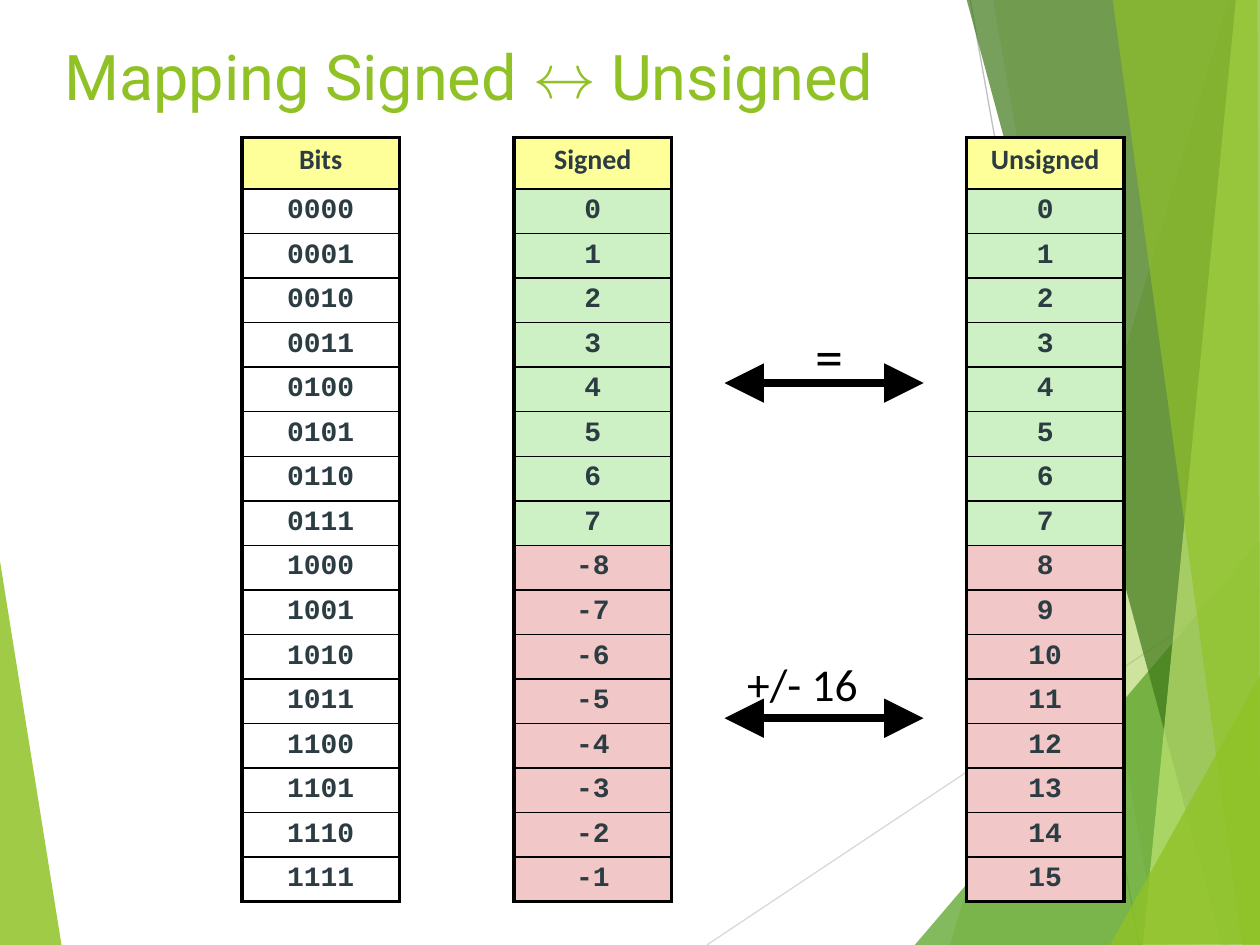
from typing import NamedTuple, Optional

from lxml import etree
from pptx import Presentation
from pptx.dml.color import RGBColor
from pptx.enum import shapes, text
from pptx.oxml import ns
from pptx.util import Inches, Pt

LIME = RGBColor(0x90, 0xC2, 0x26)
GREEN = RGBColor(0x54, 0xA0, 0x21)
FOREST = RGBColor(0x3F, 0x78, 0x19)
PALE_LIME = RGBColor(0xC0, 0xE4, 0x74)
LIGHT_GRAY = RGBColor(0xD9, 0xD9, 0xD9)
GRAY = RGBColor(0xBF, 0xBF, 0xBF)
BLACK = RGBColor(0, 0, 0)
SLATE = RGBColor(0x2C, 0x3C, 0x43)
YELLOW = RGBColor(0xFF, 0xFF, 0x99)
MINT = RGBColor(0xCD, 0xF1, 0xC5)
PINK = RGBColor(0xF1, 0xC7, 0xC7)

TABLE_TOP, TABLE_WIDTH, TABLE_HEIGHT, HEADER_HEIGHT = 1.09, 1.25, 6.07, 0.41
THICK, THIN = 2.25, 1


class Facet(NamedTuple):
    points: list
    color: RGBColor
    opacity: int


class Ray(NamedTuple):
    start: tuple
    end: tuple
    color: RGBColor
    width: float = 0.75


class NumberColumn(NamedTuple):
    left: float
    heading: str
    values: list
    low_fill: Optional[RGBColor] = None
    high_fill: Optional[RGBColor] = None


class Label(NamedTuple):
    wording: str
    box: tuple
    size: float
    font: str = "Calibri"
    color: RGBColor = BLACK
    align: text.PP_ALIGN = text.PP_ALIGN.CENTER
    anchor: text.MSO_ANCHOR = text.MSO_ANCHOR.TOP
    insets: tuple = (0.05, 0.05)
    wrap: bool = False


LEFT_FACET = Facet([(-0.01, 4.39), (0.49, 7.51), (-0.01, 7.5)], LIME, 85)
RAYS = [
    Ray((5.61, 7.5), (10.01, 4.57), LIGHT_GRAY),
    Ray((7.7, 0), (9.04, 7.5), GRAY),
]
RIGHT_FACETS = [
    Facet([(9.75, 0), (7.54, 7.5), (10.02, 7.51), (10.01, 0.01)], LIME, 30),
    Facet([(7.88, -0.01), (9.19, 7.5), (10.01, 7.5), (10.01, -0.01)], LIME, 20),
    Facet([(7.26, 7.5), (10, 4.29), (10.01, 7.5)], GREEN, 72),
    Facet([(7.67, -0.01), (9.7, 7.5), (10.01, 7.49), (10.01, -0.01)], FOREST, 70),
    Facet([(9.81, -0.01), (9.07, 7.5), (10.01, 7.5), (10, -0.01)], PALE_LIME, 70),
    Facet([(8.83, -0.01), (9.86, 7.5), (10, 7.5), (9.98, -0.01)], LIME, 65),
    Facet([(8.81, 7.5), (10.01, 5.35), (10.01, 7.49)], LIME, 80),
]
TITLE = Label("Mapping Signed ↔ Unsigned", (0.44, 0.27, 7.46, 0.61), 36, "Roboto",
              LIME, text.PP_ALIGN.LEFT, insets=(0.07, 0.03), wrap=True)
COLUMNS = [
    NumberColumn(4.08, "Signed", [*range(8), *range(-8, 0)], MINT, PINK),
    NumberColumn(7.67, "Unsigned", list(range(16)), MINT, PINK),
    NumberColumn(1.92, "Bits", [f"{n:04b}" for n in range(16)]),
]
MAPPINGS = [
    (3.04, Label("=", (6.42, 2.5, 0.32, 0.64), 32)),
    (5.7, Label("+/- 16", (5.77, 5.17, 1.2, 0.51), 26,
                anchor=text.MSO_ANCHOR.MIDDLE)),
]


def draw_facet(slide, facet: Facet) -> None:
    corners = [(Inches(x), Inches(y)) for x, y in facet.points]
    builder = slide.shapes.build_freeform(*corners[0])
    builder.add_line_segments(corners[1:], close=True)
    shape = builder.convert_to_shape()
    shape.shadow.inherit = False
    shape.line.fill.background()
    shape.fill.solid()
    shape.fill.fore_color.rgb = facet.color
    tint = shape._element.spPr.find(".//" + ns.qn("a:srgbClr"))
    etree.SubElement(tint, ns.qn("a:alpha"), val=str(facet.opacity * 1000))


def draw_line(slide, ray: Ray, arrows: bool = False) -> None:
    line = slide.shapes.add_connector(
        shapes.MSO_CONNECTOR.STRAIGHT,
        *(Inches(v) for v in (*ray.start, *ray.end)))
    line.line.color.rgb = ray.color
    line.line.width = Pt(ray.width)
    if arrows:
        outline = line._element.spPr.find(ns.qn("a:ln"))
        for end in ("a:headEnd", "a:tailEnd"):
            etree.SubElement(outline, ns.qn(end), type="triangle", w="lg", len="lg")
    etree.SubElement(line._element.spPr, ns.qn("a:effectLst"))


def draw_label(slide, label: Label) -> None:
    frame = slide.shapes.add_textbox(*(Inches(v) for v in label.box)).text_frame
    frame.word_wrap = label.wrap
    frame.vertical_anchor = label.anchor
    side, edge = (Inches(v) for v in label.insets)
    frame.margin_left = frame.margin_right = side
    frame.margin_top = frame.margin_bottom = edge
    frame.text = label.wording
    paragraph = frame.paragraphs[0]
    paragraph.alignment = label.align
    font = paragraph.runs[0].font
    font.size, font.name = Pt(label.size), label.font
    font.color.rgb = label.color


def add_borders(cell, top: float, bottom: float) -> None:
    """Add black borders, which must come before the cell's fill."""
    properties = cell._tc.get_or_add_tcPr()
    for tag, width in (("a:lnL", THICK), ("a:lnR", THICK),
                       ("a:lnT", top), ("a:lnB", bottom)):
        border = etree.SubElement(properties, ns.qn(tag), w=str(Pt(width)))
        fill = etree.SubElement(border, ns.qn("a:solidFill"))
        etree.SubElement(fill, ns.qn("a:srgbClr"), val=str(BLACK))


def fill_cell(cell, wording: str, font_name: str, fill: Optional[RGBColor]) -> None:
    cell.margin_left = cell.margin_right = Inches(0.05)
    cell.margin_top = cell.margin_bottom = Inches(0.05)
    if fill is None:
        cell.fill.background()
    else:
        cell.fill.solid()
        cell.fill.fore_color.rgb = fill
    cell.text_frame.text = wording
    paragraph = cell.text_frame.paragraphs[0]
    paragraph.alignment = text.PP_ALIGN.CENTER
    paragraph.line_spacing = 0.95
    font = paragraph.runs[0].font
    font.size, font.name, font.bold = Pt(16), font_name, True
    font.color.rgb = SLATE


def draw_column(slide, column: NumberColumn) -> None:
    count = len(column.values)
    table = slide.shapes.add_table(
        count + 1, 1, Inches(column.left), Inches(TABLE_TOP),
        Inches(TABLE_WIDTH), Inches(TABLE_HEIGHT)).table
    for index, wording in enumerate([column.heading, *column.values]):
        is_header = index == 0
        height = HEADER_HEIGHT if is_header else (TABLE_HEIGHT - HEADER_HEIGHT) / count
        table.rows[index].height = Inches(height)
        half_fill = column.low_fill if index <= count // 2 else column.high_fill
        cell = table.cell(index, 0)
        add_borders(cell, THICK if is_header else THIN,
                    THICK if index == count else THIN)
        fill_cell(cell, str(wording), "Calibri" if is_header else "Courier New",
                  YELLOW if is_header else half_fill)


def main() -> None:
    deck = Presentation()
    deck.slide_width, deck.slide_height = Inches(10), Inches(7.5)
    slide = deck.slides.add_slide(deck.slide_layouts[6])
    draw_facet(slide, LEFT_FACET)
    for ray in RAYS:
        draw_line(slide, ray)
    for facet in RIGHT_FACETS:
        draw_facet(slide, facet)
    draw_label(slide, TITLE)
    for column in COLUMNS:
        draw_column(slide, column)
    for y, label in MAPPINGS:
        draw_line(slide, Ray((7.33, y), (5.75, y), BLACK, 4.5), arrows=True)
        draw_label(slide, label)
    deck.save("out.pptx")


if __name__ == "__main__":
    main()
